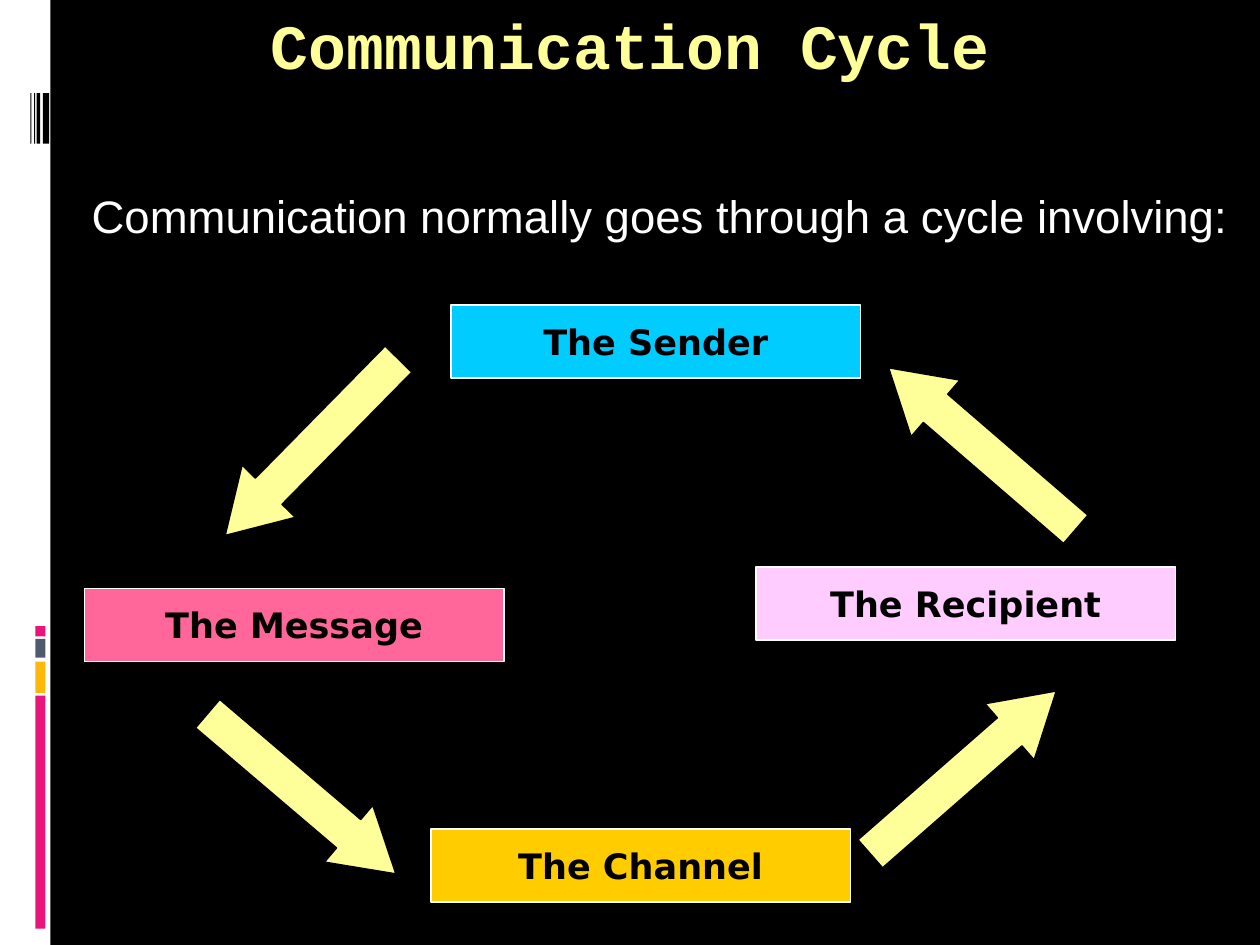
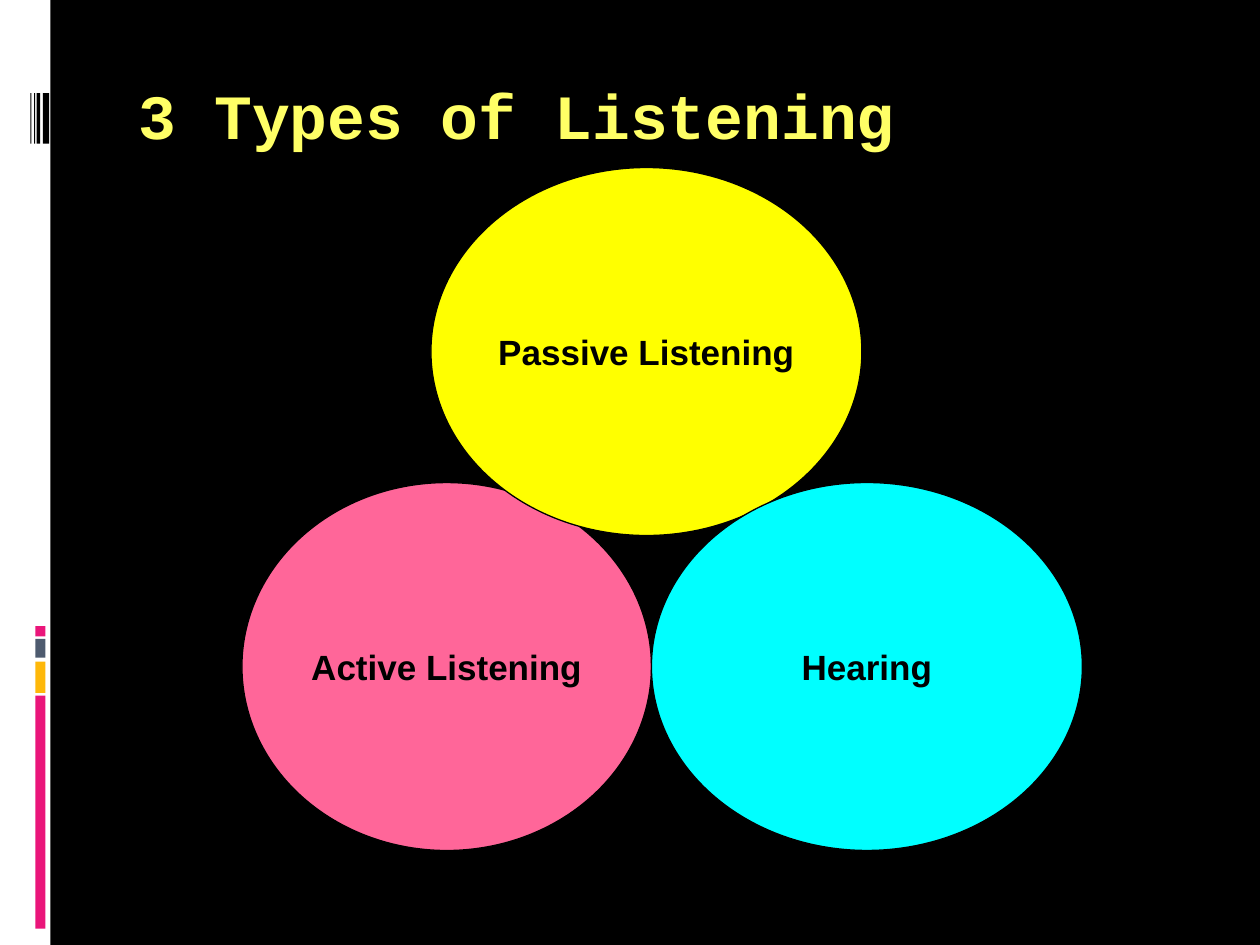
"""Build two slides on the communication cycle and the types of listening."""
from dataclasses import dataclass

from pptx import Presentation
from pptx import util as u
from pptx.dml.color import RGBColor
from pptx.enum import shapes, text

HUES = {
    "black": "000000", "white": "FFFFFF", "cream": "FFFF99", "lemon": "FFFF66",
    "magenta": "EA157A", "amber": "FEB80A", "slate": "4E5B6F", "sky": "00CCFF",
    "pink": "FF6699", "gold": "FFCC00", "lilac": "FFCCFF", "yellow": "FFFF00",
    "cyan": "00FFFF",
}
KIND = shapes.MSO_SHAPE
MID = text.MSO_ANCHOR.MIDDLE
CENTER = text.PP_ALIGN.CENTER


@dataclass
class Box:
    """A filled shape with an optional label, placed in inches."""
    left: float
    top: float
    width: float
    height: float
    fill: str
    label: str = ""


@dataclass
class Arrow:
    """A block arrow, turned clockwise from pointing down."""
    left: float
    top: float
    turn: float


BARS = [
    Box(0, 0, 0.4, 7.5, "white"),
    Box(0.28, 5.52, 0.08, 1.85, "magenta"),
    Box(0.28, 5.25, 0.08, 0.25, "amber"),
    Box(0.28, 5.07, 0.08, 0.15, "slate"),
    Box(0.28, 4.97, 0.08, 0.08, "magenta"),
    *(Box(left, 0.74, width, 0.4, "black")
      for left, width in [(0.34, 0.05), (0.29, 0.03), (0.27, 0.01), (0.24, 0.01)]),
]
STEPS = [
    Box(3.58, 2.42, 3.25, 0.58, "sky", "The Sender"),
    Box(0.67, 4.67, 3.33, 0.58, "pink", "The Message"),
    Box(3.42, 6.58, 3.33, 0.58, "gold", "The Channel"),
    Box(6, 4.5, 3.33, 0.58, "lilac", "The Recipient"),
]
ARROWS = [
    Arrow(2.18, 2.57, 44.5),
    Arrow(7.5, 2.58, 130.8),
    Arrow(7.35, 5.15, 228.8),
    Arrow(2.1, 5.32, 310.4),
]
TYPES = [
    Box(1.92, 3.83, 3.25, 2.92, "pink", "Active Listening"),
    Box(3.42, 1.33, 3.42, 2.92, "yellow", "Passive Listening"),
    Box(5.17, 3.83, 3.42, 2.92, "cyan", "Hearing"),
]


def tint(name: str) -> RGBColor:
    """Return the named colour."""
    return RGBColor.from_string(HUES[name])


def write(shape, words: str, *, size: float = 20, face: str = "Arial",
          hue: str = "black", bold: bool = True, align=CENTER, anchor=MID,
          wrap: bool = False) -> None:
    """Put one formatted paragraph into a shape."""
    frame = shape.text_frame
    frame.word_wrap = wrap
    frame.vertical_anchor = anchor
    para = frame.paragraphs[0]
    para.alignment = align
    run = para.add_run()
    run.text = words
    font = run.font
    font.size, font.name, font.bold = u.Pt(size), face, bold
    font.color.rgb = tint(hue)


def draw(slide, box: Box, kind=KIND.RECTANGLE, line: str = "", face: str = "Arial"):
    """Add a flat shape with its outline and label."""
    spot = (u.Inches(n) for n in (box.left, box.top, box.width, box.height))
    shape = slide.shapes.add_shape(kind, *spot)
    shape.shadow.inherit = False
    shape.fill.solid()
    shape.fill.fore_color.rgb = tint(box.fill)
    if line:
        shape.line.color.rgb = tint(line)
        shape.line.width = u.Pt(0.75)
    else:
        shape.line.fill.background()
    if box.label:
        write(shape, box.label, face=face)
    return shape


def point(slide, arrow: Arrow) -> None:
    """Add one turned block arrow."""
    box = Box(arrow.left, arrow.top, 0.59, 1.96, "cream")
    shape = draw(slide, box, KIND.DOWN_ARROW, "black")
    shape.adjustments[0] = 0.5
    shape.adjustments[1] = 0.83
    shape.rotation = arrow.turn


def start(deck, words: str, area: Box, align):
    """Add a slide with the side bars and a title, coloured by its area's fill."""
    slide = deck.slides.add_slide(deck.slide_layouts[5])
    for bar in BARS:
        draw(slide, bar)
    title = slide.shapes.title
    title.left, title.top = u.Inches(area.left), u.Inches(area.top)
    title.width, title.height = u.Inches(area.width), u.Inches(area.height)
    write(title, words, size=36, face="Courier New", hue=area.fill,
          align=align, anchor=text.MSO_ANCHOR.TOP, wrap=True)
    return slide


def cycle(deck) -> None:
    """Build the communication cycle slide."""
    slide = start(deck, "Communication Cycle", Box(0.5, 0, 9, 1.33, "cream"), CENTER)
    intro = slide.shapes.add_textbox(
        u.Inches(0.45), u.Inches(1.42), u.Inches(9.58), u.Inches(0.58))
    write(intro, "Communication normally goes through a cycle involving:",
          size=26, hue="white", bold=False, wrap=True)
    for step in STEPS:
        draw(slide, step, line="white", face="DejaVu Sans")
    for arrow in ARROWS:
        point(slide, arrow)


def types(deck) -> None:
    """Build the types of listening slide."""
    slide = start(deck, "3 Types of Listening", Box(1, 0.56, 8.5, 1, "lemon"),
                  text.PP_ALIGN.LEFT)
    for sort in TYPES:
        draw(slide, sort, KIND.OVAL, "black")


def main() -> None:
    """Build and save the deck."""
    deck = Presentation()
    deck.slide_width, deck.slide_height = u.Inches(10), u.Inches(7.5)
    back = deck.slide_master.background.fill
    back.solid()
    back.fore_color.rgb = tint("black")
    cycle(deck)
    types(deck)
    deck.save("out.pptx")


if __name__ == "__main__":
    main()
